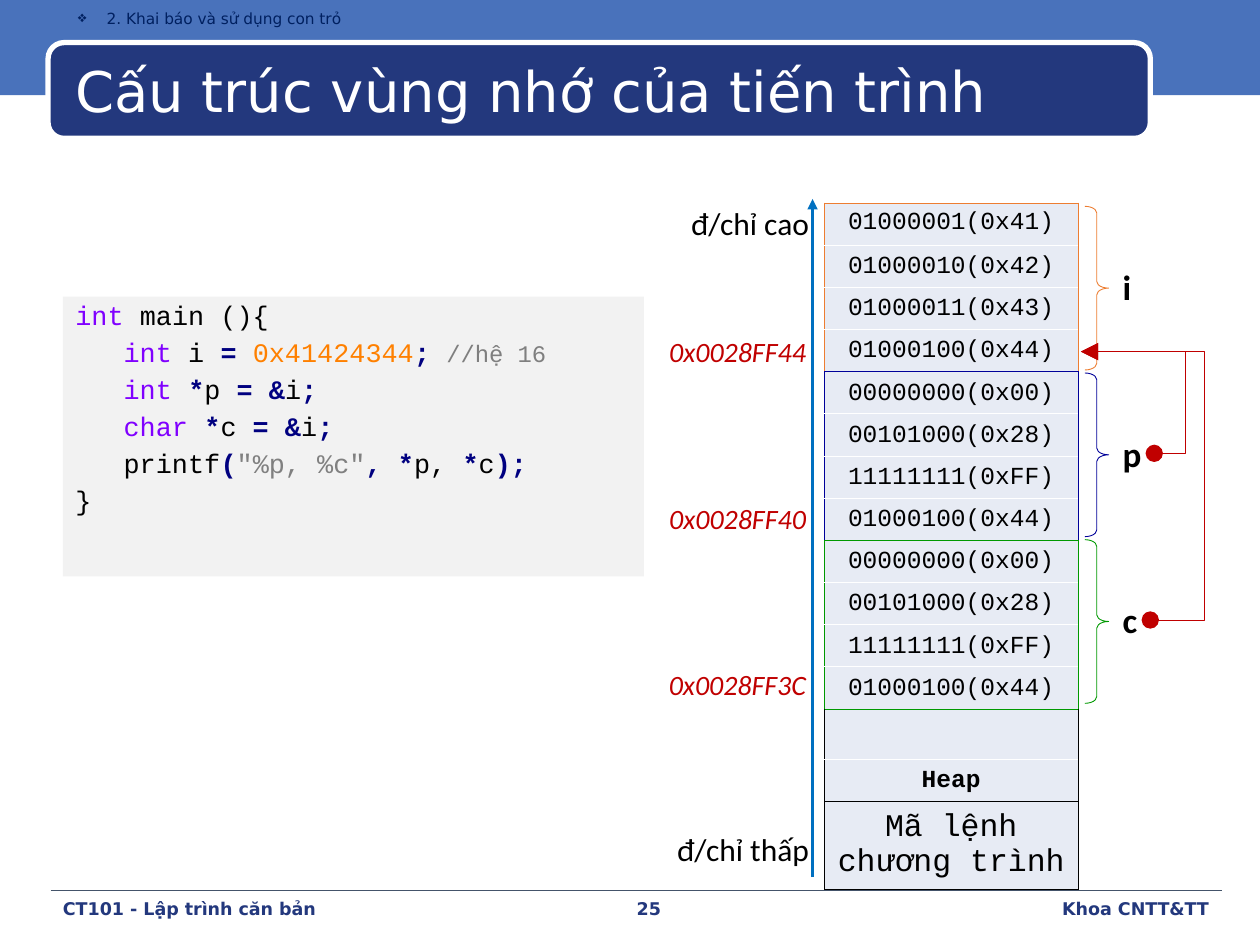
from lxml import etree
from pptx import Presentation
from pptx.dml.color import RGBColor
from pptx.enum.shapes import MSO_CONNECTOR, MSO_SHAPE
from pptx.enum.text import MSO_ANCHOR, MSO_AUTO_SIZE, PP_ALIGN
from pptx.oxml.ns import qn
from pptx.util import Cm, Pt

STRAIGHT, ELBOW = MSO_CONNECTOR.STRAIGHT, MSO_CONNECTOR.ELBOW
RECT, ROUNDED, BRACE = MSO_SHAPE.RECTANGLE, MSO_SHAPE.ROUNDED_RECTANGLE, MSO_SHAPE.RIGHT_BRACE
TOP, MIDDLE, BOTTOM = MSO_ANCHOR.TOP, MSO_ANCHOR.MIDDLE, MSO_ANCHOR.BOTTOM
LEFT, CENTER, RIGHT = PP_ALIGN.LEFT, PP_ALIGN.CENTER, PP_ALIGN.RIGHT
FIT = MSO_AUTO_SIZE.SHAPE_TO_FIT_TEXT

SANS, MONO, BODY = "DejaVu Sans", "Courier New", "Calibri"
THEME = {
    "colour": {
        "band": "4972BB", "navy": "23387D", "white": "FFFFFF", "rule": "44546A",
        "cell": "E7EBF4", "panel": "F2F2F2", "axis": "0070C0", "pointer": "C00000",
        "i": "ED7D31", "p": "000099", "c": "009900", "black": "000000",
    },
    # font, size, colour, bold, italic
    "text": {
        "title": (SANS, 32, "FFFFFF", False, False),
        "section": (SANS, 8.8, "002060", False, False),
        "footer": (SANS, 10, "23387D", True, False),
        "byte": (MONO, 14, "000000", False, False),
        "heap": (MONO, 14, "000000", True, False),
        "program": (MONO, 18, "000000", False, False),
        "end": (BODY, 18, "000000", False, False),
        "address": (BODY, 16, "C00000", False, True),
        "variable": (BODY, 20, "000000", True, False),
        "plain": (MONO, 15.3, "000000", False, False),
        "keyword": (MONO, 15.3, "8000FF", False, False),
        "operator": (MONO, 15.3, "000080", True, False),
        "number": (MONO, 15.3, "FF8000", False, False),
        "string": (MONO, 15.3, "808080", False, False),
        "comment": (MONO, 13.6, "7F7F7F", False, False),
    },
}
COLOUR = {name: RGBColor.from_string(value) for name, value in THEME["colour"].items()}


def write(frame, lines, **paragraph_format):
    """Fill a text frame; each line is a list of (text, style) runs."""
    for number, line in enumerate(lines):
        paragraph = frame.add_paragraph() if number else frame.paragraphs[0]
        for key, value in paragraph_format.items():
            if number or key != "space_before":
                setattr(paragraph, key, value)
        for text, style in line:
            run = paragraph.add_run()
            run.text = text
            font, size, colour, bold, italic = THEME["text"][style]
            values = {"name": font, "size": Pt(size), "bold": bold, "italic": italic}
            for key, value in values.items():
                setattr(run.font, key, value)
            run.font.color.rgb = RGBColor.from_string(colour)


def connect(kind, start, end, colour, width, **ends):
    """Draw a connector; ends maps headEnd or tailEnd to (type, size)."""
    connector = slide.shapes.add_connector(kind, *map(Cm, start + end))
    connector.line.color.rgb = COLOUR[colour]
    connector.line.width = Pt(width)
    for tag, (shape, size) in ends.items():
        etree.SubElement(connector.line._get_or_add_ln(), qn("a:" + tag),
                         type=shape, w=size, len=size)
    etree.SubElement(connector._element.spPr, qn("a:effectLst"))
    return connector


deck = Presentation()
deck.slide_width, deck.slide_height = Cm(25.4), Cm(19.05)
slide = deck.slides.add_slide(deck.slide_layouts[6])

# Header band, title plate and code panel
panels = {}
for name, kind, box, fill in (
    ("band", RECT, (0, 0, 25.4, 1.92), "band"),
    ("plate", ROUNDED, (0.97, 0.86, 22.22, 1.93), "navy"),
    ("code", RECT, (1.27, 5.98, 11.71, 5.64), "panel"),
):
    panel = slide.shapes.add_shape(kind, *map(Cm, box))
    panel.shadow.inherit = False
    panel.fill.solid()
    panel.fill.fore_color.rgb = COLOUR[fill]
    panel.line.fill.background()
    panels[name] = panel
panels["plate"].line.color.rgb = COLOUR["white"]
panels["plate"].line.width = Pt(3)

# Title, section and footer
captions = {}
for style, text, box, anchor, spacing in (
    ("title", "Cấu trúc vùng nhớ của tiến trình", (1.27, 1.02, 22.1, 1.78), MIDDLE, 0.9),
    ("section", "2. Khai báo và sử dụng con trỏ", (1.32, 0.08, 21.59, 0.66), MIDDLE, 0.8),
    ("footer", "CT101 - Lập trình căn bản\t25\tKhoa CNTT&TT", (1.02, 17.98, 23.62, 0.71), TOP, 1.0),
):
    frame = slide.shapes.add_textbox(*map(Cm, box)).text_frame
    frame.word_wrap = True
    frame.vertical_anchor = anchor
    write(frame, [[(text, style)]], line_spacing=spacing)
    captions[style] = frame.paragraphs[0]._p.get_or_add_pPr()

section = captions["section"]
section.set("marL", str(Cm(0.58)))
section.set("indent", str(-Cm(0.58)))
bullet_colour = etree.SubElement(section, qn("a:buClr"))
etree.SubElement(bullet_colour, qn("a:srgbClr"), val=THEME["text"]["section"][2])
etree.SubElement(section, qn("a:buChar"), char="❖")

tabs = etree.SubElement(captions["footer"], qn("a:tabLst"))
for position, align in ((11.81, "ctr"), (23.1, "r")):
    etree.SubElement(tabs, qn("a:tab"), pos=str(Cm(position)), algn=align)
connect(STRAIGHT, (1.02, 17.94), (24.64, 17.94), "rule", 0.25)

# Program code
pointers = [
    [(f"   {kind} ", "keyword"), ("*", "operator"), (f"{name} ", "plain"),
     ("= &", "operator"), ("i", "plain"), (";", "operator")]
    for kind, name in (("int", "p"), ("char", "c"))
]
code = [
    [("int", "keyword"), (" main (){", "plain")],
    [("   int", "keyword"), (" i ", "plain"), ("= ", "operator"),
     ("0x41424344", "number"), ("; ", "operator"), ("//hệ 16", "comment")],
    *pointers,
    [("   printf", "plain"), ("(", "operator"), ('"%p, %c"', "string"), (", *", "operator"),
     ("p, ", "plain"), ("*", "operator"), ("c", "plain"), (");", "operator")],
    [("}", "plain")],
]
panels["code"].text_frame.word_wrap = True
panels["code"].text_frame.vertical_anchor = TOP
write(panels["code"].text_frame, code, alignment=LEFT, line_spacing=0.9, space_before=Pt(4.5))

# Memory table: side colour, top edge colour, rows of each block
pointer_bytes = ["00000000(0x00)", "00101000(0x28)", "11111111(0xFF)", "01000100(0x44)"]
blocks = (
    ("i", "i", ["01000001(0x41)", "01000010(0x42)", "01000011(0x43)", "01000100(0x44)"]),
    ("p", "p", pointer_bytes),
    ("c", "c", pointer_bytes),
    ("black", "c", ["", "Heap"]),
    ("black", "black", ["Mã lệnh chương trình"]),
)
memory = [(text, side, "white" if number else top)
          for side, top, texts in blocks for number, text in enumerate(texts)]
edges = [top for _, _, top in memory] + ["black"]
special_styles = {"Heap": "heap", "Mã lệnh chương trình": "program"}

table = slide.shapes.add_table(len(memory), 1, Cm(16.62), Cm(4.09), Cm(5.11), Cm(13.68)).table
table.first_row = table.horz_banding = False
for number, (text, side, top) in enumerate(memory):
    last = number == len(memory) - 1
    table.rows[number].height = Cm(1.78 if last else 0.85)
    cell = table.cell(number, 0)
    cell.vertical_anchor = MIDDLE if last else BOTTOM if number else TOP
    if text:
        write(cell.text_frame, [[(text, special_styles.get(text, "byte"))]], alignment=CENTER)
    borders = {"lnL": side, "lnR": side, "lnT": top, "lnB": edges[number + 1]}
    for tag, colour in borders.items():
        border = etree.SubElement(cell._tc.get_or_add_tcPr(), qn("a:" + tag), w=str(Pt(0.45)))
        fill = etree.SubElement(border, qn("a:solidFill"))
        etree.SubElement(fill, qn("a:srgbClr"), val=THEME["colour"][colour])
    cell.fill.solid()
    cell.fill.fore_color.rgb = COLOUR["cell"]

# Address axis
connect(STRAIGHT, (16.38, 17.68), (16.38, 4.01), "axis", 1.5, tailEnd=("triangle", "med"))

# Braces, one for each variable
STEP = 3.36
variables = (("i", "0x0028FF44", 0.69), ("p", "0x0028FF40", 0.89), ("c", "0x0028FF3C", 0.79))
labels = [("đ/chỉ thấp", "end", (12.85, 16.61, 3.71, 1.02), RIGHT, True),
          ("đ/chỉ cao", "end", (12.85, 3.99, 3.71, 1.02), RIGHT, True)]
for number, (name, address, width) in enumerate(variables):
    shift = number * STEP
    brace = slide.shapes.add_shape(BRACE, Cm(21.87), Cm(4.16 + shift), Cm(0.48), Cm(3.3))
    brace.shadow.inherit = False
    brace.adjustments[0] = 0.28
    brace.fill.background()
    brace.line.color.rgb = COLOUR[name]
    brace.line.width = Pt(0.5)
    labels += [(address, "address", (13.1, 6.62 + shift, 3.4, 0.94), RIGHT, True),
               (name, "variable", (22.38, 5.23 + shift, width, 1.12), LEFT, False)]

# Addresses, variable names and axis ends
for text, style, box, alignment, wrap in labels:
    frame = slide.shapes.add_textbox(*map(Cm, box)).text_frame
    frame.word_wrap = wrap
    frame.auto_size = FIT
    write(frame, [[(text, style)]], alignment=alignment)

# Pointers from p and c to the lowest byte of i
target = (21.79, 7.09)
for start, bend in (((23.27, 9.14), 23.9), ((23.19, 12.5), 24.28)):
    pointer = connect(ELBOW, start, target, "pointer", 0.5,
                      headEnd=("oval", "lg"), tailEnd=("triangle", "lg"))
    ratio = (bend - start[0]) / (target[0] - start[0])
    guides = pointer._element.spPr.find(qn("a:prstGeom")).find(qn("a:avLst"))
    etree.SubElement(guides, qn("a:gd"), name="adj1", fmla=f"val {round(ratio * 100000)}")

deck.save("out.pptx")
